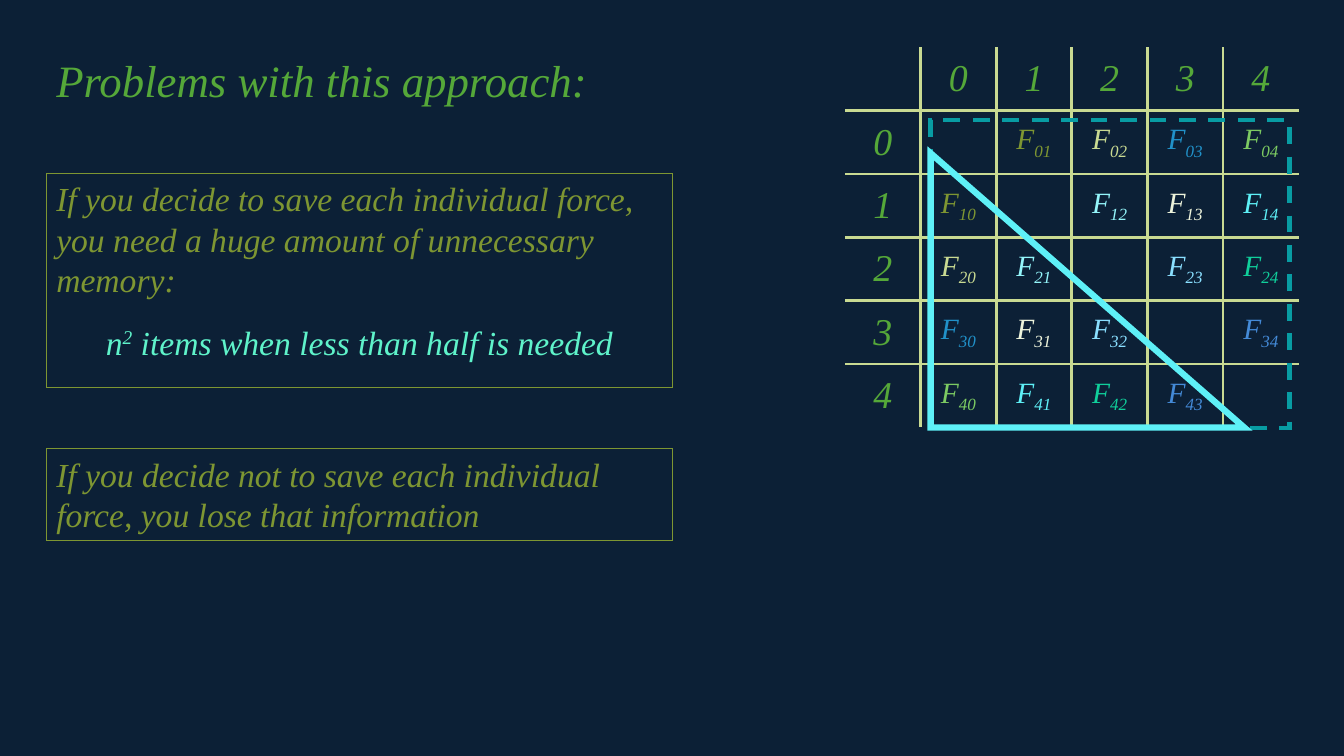
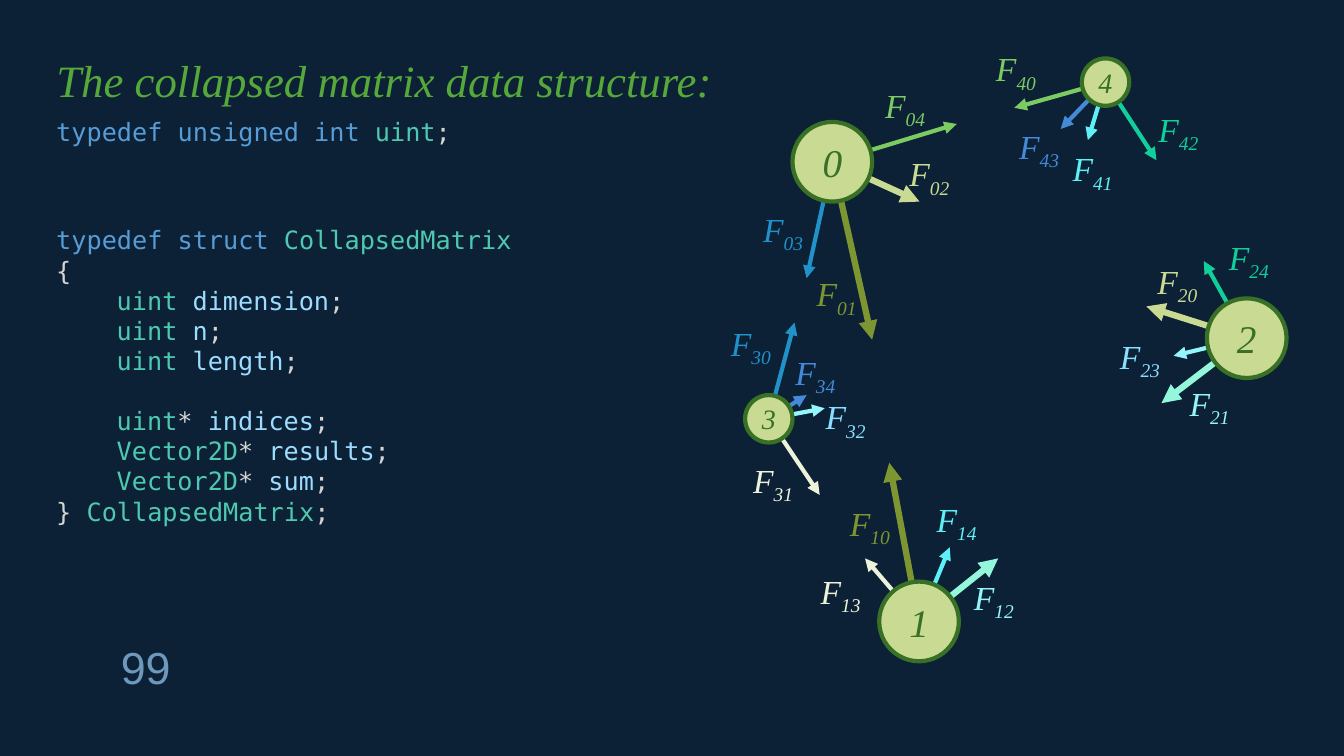
import pptx
import pptx.util
import pptx.dml.color
import pptx.enum.dml
import pptx.enum.shapes
import pptx.enum.text
import pptx.oxml
import pptx.oxml.ns
from lxml import etree

Inches = pptx.util.Inches
Pt = pptx.util.Pt
KIND = pptx.enum.shapes.MSO_SHAPE
ALIGN = pptx.enum.text.PP_ALIGN
ANCHOR = pptx.enum.text.MSO_ANCHOR

NAVY, GREEN, OLIVE, LIME, FOREST = "0C2036", "55A839", "7E9632", "C9DA92", "387026"
MINT, TEAL, AQUA, STEEL = "5FF3CA", "089CA3", "5EF0F7", "6E99BD"
BLUE, TYPE, NAME, PLAIN = "569CD6", "4EC9B0", "9CDCFE", "D4D4D4"
SERIF, MONO, SANS = "Times New Roman", "DejaVu Sans Mono", "Arial"

COUNT = 5
LEFT = 0.46
WIDE = 6.21

# Each pair of bodies has one colour, for both directions of the force.
PAIRS = {
    (0, 1): OLIVE, (0, 2): LIME, (0, 3): "2191C9", (0, 4): "7CCA62",
    (1, 2): "94F5FA", (1, 3): "EDF3DB", (1, 4): AQUA,
    (2, 3): "8ADFFF", (2, 4): "10CF9B", (3, 4): "448AD7",
}
# Arrows that differ in colour from their labels.
SHADES = {(1, 2): "94F7DC", (2, 3): "94F5FA"}
STRONG = {(0, 1), (0, 2), (1, 2)}

# Body: left, top, diameter, text size.
BODIES = [
    (7.86, 1.21, 0.79, 28),
    (8.72, 5.77, 0.79, 28),
    (11.97, 2.96, 0.79, 28),
    (7.39, 3.92, 0.47, 20),
    (10.73, 0.58, 0.47, 20),
]

# Force on a body from another: arrow tip, then label corner.
FORCES = {
    (0, 1): ((8.65, 3.37), (8, 2.66)),
    (0, 2): ((9.12, 2), (8.92, 1.47)),
    (0, 3): ((8, 2.76), (7.47, 2.02)),
    (0, 4): ((9.49, 1.23), (8.68, 0.79)),
    (1, 0): ((8.82, 4.59), (8.33, 4.94)),
    (1, 2): ((9.9, 5.54), (9.56, 5.67)),
    (1, 3): ((8.58, 5.54), (8.04, 5.61)),
    (1, 4): ((9.42, 5.43), (9.19, 4.9)),
    (2, 0): ((11.37, 3.04), (11.38, 2.54)),
    (2, 1): ((11.52, 4), (11.7, 3.75)),
    (2, 3): ((11.64, 3.53), (11.01, 3.28)),
    (2, 4): ((11.94, 2.59), (12.09, 2.3)),
    (3, 0): ((7.88, 3.2), (7.15, 3.15)),
    (3, 1): ((8.13, 4.91), (7.37, 4.51)),
    (3, 2): ((8.18, 4.05), (8.09, 3.88)),
    (3, 4): ((8, 3.92), (7.79, 3.44)),
    (4, 0): ((10.06, 1.07), (9.78, 0.43)),
    (4, 1): ((10.79, 1.39), (10.54, 1.42)),
    (4, 2): ((11.47, 1.59), (11.39, 1.03)),
    (4, 3): ((10.52, 1.28), (10.01, 1.2)),
}

# Code line: indent in inches, space before in points, coloured runs.
ALIAS = [(0, 0, [("typedef unsigned int ", BLUE), ("uint", TYPE), (";", PLAIN)])]


def field(kind, star, name, gap=0):
    return 0.6, gap, [(kind, TYPE), (star, PLAIN), (name, NAME), (";", PLAIN)]


STRUCT = [
    (0, 0, [("typedef struct ", BLUE), ("CollapsedMatrix", TYPE)]),
    (0, 0, [("{", PLAIN)]),
    field("uint", " ", "dimension"),
    field("uint", " ", "n"),
    field("uint", " ", "length"),
    field("uint", "* ", "indices", gap=21),
    field("Vector2D", "* ", "results"),
    field("Vector2D", "* ", "sum"),
    (0, 0, [("} ", PLAIN), ("CollapsedMatrix", TYPE), (";", PLAIN)]),
]


def rgb(code):
    return pptx.dml.color.RGBColor.from_string(code)


def add_tag(node, tag, **attrs):
    return etree.SubElement(node, pptx.oxml.ns.qn("a:" + tag), attrs)


def write(para, text, size=24, color=OLIVE, font=SERIF, italic=True, base=0):
    run = para.add_run()
    run.text = text
    run.font.size = Pt(size)
    run.font.color.rgb = rgb(color)
    run.font.name = font
    run.font.italic = italic
    if base:
        run.font._element.set("baseline", str(base * 1000))


def write_force(para, i, j, size):
    color = PAIRS[min(i, j), max(i, j)]
    write(para, "F", size=size, color=color)
    write(para, f"{i}{j}", size=size, color=color, base=-25)


def add_box(slide, x, y, w, h):
    """Add a text box and return its first paragraph."""
    frame = slide.shapes.add_textbox(Inches(x), Inches(y), Inches(w), Inches(h)).text_frame
    frame.word_wrap = True
    return frame.paragraphs[0]


def add_form(slide, kind, x, y, w, h, line, width, fill=None, dash=None):
    """Add an outlined shape and return it."""
    form = slide.shapes.add_shape(kind, Inches(x), Inches(y), Inches(w), Inches(h))
    form.shadow.inherit = False
    if fill:
        form.fill.solid()
        form.fill.fore_color.rgb = rgb(fill)
    else:
        form.fill.background()
    form.line.color.rgb = rgb(line)
    form.line.width = Pt(width)
    if dash:
        form.line.dash_style = dash
    add_tag(form.line._get_or_add_ln(), "miter", lim="800000")
    return form


def add_note(slide, y, h, text):
    """Add a framed paragraph."""
    form = add_form(slide, KIND.RECTANGLE, LEFT, y, WIDE, h, OLIVE, 0.75)
    form.text_frame.vertical_anchor = ANCHOR.TOP
    para = form.text_frame.paragraphs[0]
    para.alignment = ALIGN.LEFT
    write(para, text)


def add_code(slide, y, h, lines):
    para = add_box(slide, LEFT, y, 6.67, h)
    frame = para._parent
    for row, (indent, gap, runs) in enumerate(lines):
        if row:
            para = frame.add_paragraph()
        para.space_before = Pt(gap)
        para._p.get_or_add_pPr().set("marL", str(Inches(indent)))
        for text, color in runs:
            write(para, text, size=18, color=color, font=MONO, italic=False)


def add_arrow(slide, start, end, color, width):
    ends = [Inches(v) for v in (*start, *end)]
    arrow = slide.shapes.add_connector(pptx.enum.shapes.MSO_CONNECTOR.STRAIGHT, *ends)
    arrow.line.color.rgb = rgb(color)
    arrow.line.width = Pt(width)
    add_tag(arrow.line._get_or_add_ln(), "tailEnd", type="triangle")
    add_tag(arrow._element.spPr, "effectLst")


def add_body(slide, index):
    x, y, size, points = BODIES[index]
    form = add_form(slide, KIND.OVAL, x, y, size, size, FOREST, 3, fill=LIME)
    frame = form.text_frame
    frame.vertical_anchor = ANCHOR.MIDDLE
    frame.word_wrap = False
    para = frame.paragraphs[0]
    para.alignment = ALIGN.CENTER
    write(para, str(index), size=points, color=FOREST)


def rule_cell(cell, row, col):
    """Draw only the borders that face another cell."""
    props = cell._tc.get_or_add_tcPr()
    inner = {"lnL": col > 0, "lnR": col < COUNT, "lnT": row > 0, "lnB": row < COUNT}
    for tag, shown in inner.items():
        line = add_tag(props, tag, w=str(Pt(2.25)))
        if shown:
            add_tag(add_tag(line, "solidFill"), "srgbClr", val=LIME)
        else:
            add_tag(line, "noFill")


def add_grid(slide):
    size = COUNT + 1
    table = slide.shapes.add_table(
        size, size, Inches(8.38), Inches(0.47), Inches(4.5), Inches(3.77)).table
    table.first_row = table.horz_banding = False
    for row in range(size):
        for col in range(size):
            cell = table.cell(row, col)
            rule_cell(cell, row, col)
            cell.fill.background()
            cell.vertical_anchor = ANCHOR.MIDDLE
            cell.margin_left = cell.margin_right = Inches(0.07)
            cell.margin_top = cell.margin_bottom = Inches(0.04)
            para = cell.text_frame.paragraphs[0]
            para.alignment = ALIGN.CENTER
            if row == col:
                continue
            if row and col:
                write_force(para, row - 1, col - 1, 21)
            else:
                write(para, str(max(row, col) - 1), size=27, color=GREEN)


def add_slide(deck, title):
    slide = deck.slides.add_slide(deck.slide_layouts[6])
    slide.background.fill.solid()
    slide.background.fill.fore_color.rgb = rgb(NAVY)
    write(add_box(slide, LEFT, 0.47, 6.78, 0.64), title, size=32, color=GREEN)
    return slide


def add_issues(deck):
    slide = add_slide(deck, "Problems with this approach:")
    add_grid(slide)
    add_note(slide, 1.72, 2.12, "If you decide to save each individual force, "
             "you need a huge amount of unnecessary memory:")
    para = add_box(slide, LEFT, 3.14, WIDE, 0.5)
    para.alignment = ALIGN.CENTER
    write(para, "n", color=MINT)
    write(para, "2", color=MINT, base=30)
    write(para, " items when less than half is needed", color=MINT)
    add_note(slide, 4.45, 0.91, "If you decide not to save each individual force, "
             "you lose that information")
    add_form(slide, KIND.RECTANGLE, 9.23, 1.19, 3.56, 3.06, TEAL, 3,
             dash=pptx.enum.dml.MSO_LINE.DASH)
    add_form(slide, KIND.RIGHT_TRIANGLE, 9.23, 1.52, 3.11, 2.72, AQUA, 4.5)


def add_struct(deck):
    slide = add_slide(deck, "The collapsed matrix data structure:")
    add_code(slide, 1.11, 0.4, ALIAS)
    add_code(slide, 2.18, 3.13, STRUCT)
    write(add_box(slide, 1.1, 6.3, 0.77, 0.64), "99",
          size=32, color=STEEL, font=SANS, italic=False)
    for (i, j), (tip, _) in FORCES.items():
        x, y, size, _ = BODIES[i]
        pair = min(i, j), max(i, j)
        add_arrow(slide, (x + size / 2, y + size / 2), tip,
                  SHADES.get(pair, PAIRS[pair]), 4.5 if pair in STRONG else 3)
    for index in range(COUNT):
        add_body(slide, index)
    for (i, j), (_, spot) in FORCES.items():
        write_force(add_box(slide, *spot, 0.79, 0.5), i, j, 24)


def main():
    deck = pptx.Presentation()
    deck.slide_width = Inches(13.33)
    deck.slide_height = Inches(7.5)
    add_issues(deck)
    add_struct(deck)
    deck.save("out.pptx")


if __name__ == "__main__":
    main()
